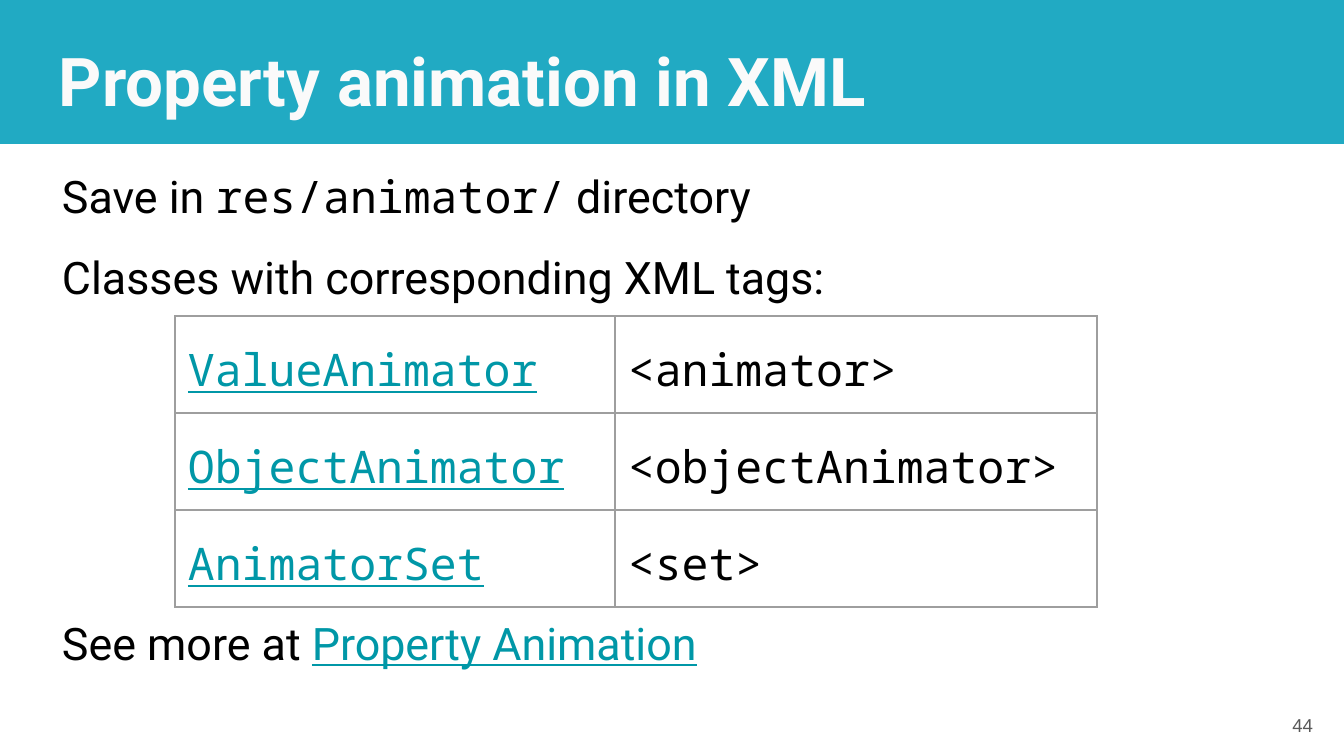
from lxml.etree import SubElement
from pptx import Presentation
from pptx.dml.color import RGBColor
from pptx.enum.shapes import MSO_SHAPE
from pptx.enum.text import MSO_ANCHOR, PP_ALIGN
from pptx.oxml.ns import qn
from pptx.util import Pt

PX = 914400 / 134.4
INSET = 13
SANS, MONO = "Roboto", "Noto Sans Mono"
BLACK, LINK, BORDER = "000000", "0097A7", "9E9E9E"

TITLE = dict(name=SANS, size=Pt(36), bold=True, color="FAFAFA")
BODY = dict(name=SANS, size=Pt(24), color=BLACK)
CODE = BODY | dict(name=MONO)
BODY_LINK = BODY | dict(color=LINK, underline=True)
CODE_LINK = CODE | dict(color=LINK, underline=True)
NUMBER = dict(name="Arial", size=Pt(10), color="595959")

CLASS_TAGS = [
    ("ValueAnimator", "<animator>"),
    ("ObjectAnimator", "<objectAnimator>"),
    ("AnimatorSet", "<set>"),
]


def px(length):
    return round(length * PX)


def rgb(color):
    return RGBColor.from_string(color)


def add_run(paragraph, text, style):
    run = paragraph.add_run()
    run.text = text
    for key, value in style.items():
        if key == "color":
            run.font.color.rgb = rgb(value)
        else:
            setattr(run.font, key, value)


def write_paragraph(paragraph, runs, layout):
    for key, value in layout.items():
        setattr(paragraph, key, value)
    for text, style in runs:
        add_run(paragraph, text, style)


def add_text(slide, box, paragraphs, anchor=MSO_ANCHOR.TOP):
    """Place a text box; each paragraph is a pair of runs and layout values."""
    frame = slide.shapes.add_textbox(*map(px, box)).text_frame
    frame.word_wrap = True
    frame.vertical_anchor = anchor
    for side in ("left", "top", "right", "bottom"):
        setattr(frame, f"margin_{side}", px(INSET))
    for index, (runs, layout) in enumerate(paragraphs):
        paragraph = frame.add_paragraph() if index else frame.paragraphs[0]
        write_paragraph(paragraph, runs, layout)


def add_header(slide, box):
    left, top, width, height = box
    band = slide.shapes.add_shape(MSO_SHAPE.RECTANGLE, *map(px, box))
    band.shadow.inherit = False
    band.fill.solid()
    band.fill.fore_color.rgb = rgb("21AAC3")
    band.line.fill.background()
    title_box = (left + 46, top + 26, width - 92, height - 40)
    add_text(slide, title_box, [([("Property animation in XML", TITLE)], {})])


def add_body(slide, box):
    """Write the lines above and below the table, with room left for it."""
    spacing = dict(line_spacing=1.15)
    add_text(slide, box, [
        ([("Save in ", BODY), ("res/animator/", CODE), (" directory", BODY)], spacing),
        ([("Classes with corresponding XML tags:", BODY)],
         spacing | dict(space_before=Pt(10))),
        ([("See more at ", BODY), ("Property Animation", BODY_LINK)],
         spacing | dict(space_before=Pt(163))),
    ])


def outline_cell(cell):
    properties = cell._tc.get_or_add_tcPr()
    for index, side in enumerate(("lnL", "lnR", "lnT", "lnB")):
        line = properties.makeelement(qn(f"a:{side}"), {"w": str(Pt(0.75))})
        fill = SubElement(line, qn("a:solidFill"))
        SubElement(fill, qn("a:srgbClr"), val=BORDER)
        properties.insert(index, line)


def add_class_table(slide, box, class_width):
    left, top, width, height = box
    table = slide.shapes.add_table(len(CLASS_TAGS), 2, *map(px, box)).table
    table.first_row = table.horz_banding = False
    for column, column_width in zip(table.columns, (class_width, width - class_width)):
        column.width = px(column_width)
    for row_index, names in enumerate(CLASS_TAGS):
        table.rows[row_index].height = px(height / len(CLASS_TAGS))
        for column_index, (name, style) in enumerate(zip(names, (CODE_LINK, CODE))):
            cell = table.cell(row_index, column_index)
            cell.fill.background()
            for side in ("left", "top", "right", "bottom"):
                setattr(cell, f"margin_{side}", px(INSET))
            write_paragraph(cell.text_frame.paragraphs[0], [(name, style)],
                            dict(line_spacing=1.15))
            outline_cell(cell)


def add_slide_number(slide, box):
    add_text(slide, box, [([("44", NUMBER)], dict(alignment=PP_ALIGN.RIGHT))],
             MSO_ANCHOR.MIDDLE)


def main():
    presentation = Presentation()
    presentation.slide_width, presentation.slide_height = px(1344), px(756)
    slide = presentation.slides.add_slide(presentation.slide_layouts[6])
    add_header(slide, (0, 0, 1344, 144))
    add_body(slide, (49, 148, 1246, 496))
    add_class_table(slide, (175, 316, 922, 291), class_width=440)
    add_slide_number(slide, (1246, 696, 80, 58))
    presentation.save("out.pptx")


if __name__ == "__main__":
    main()
